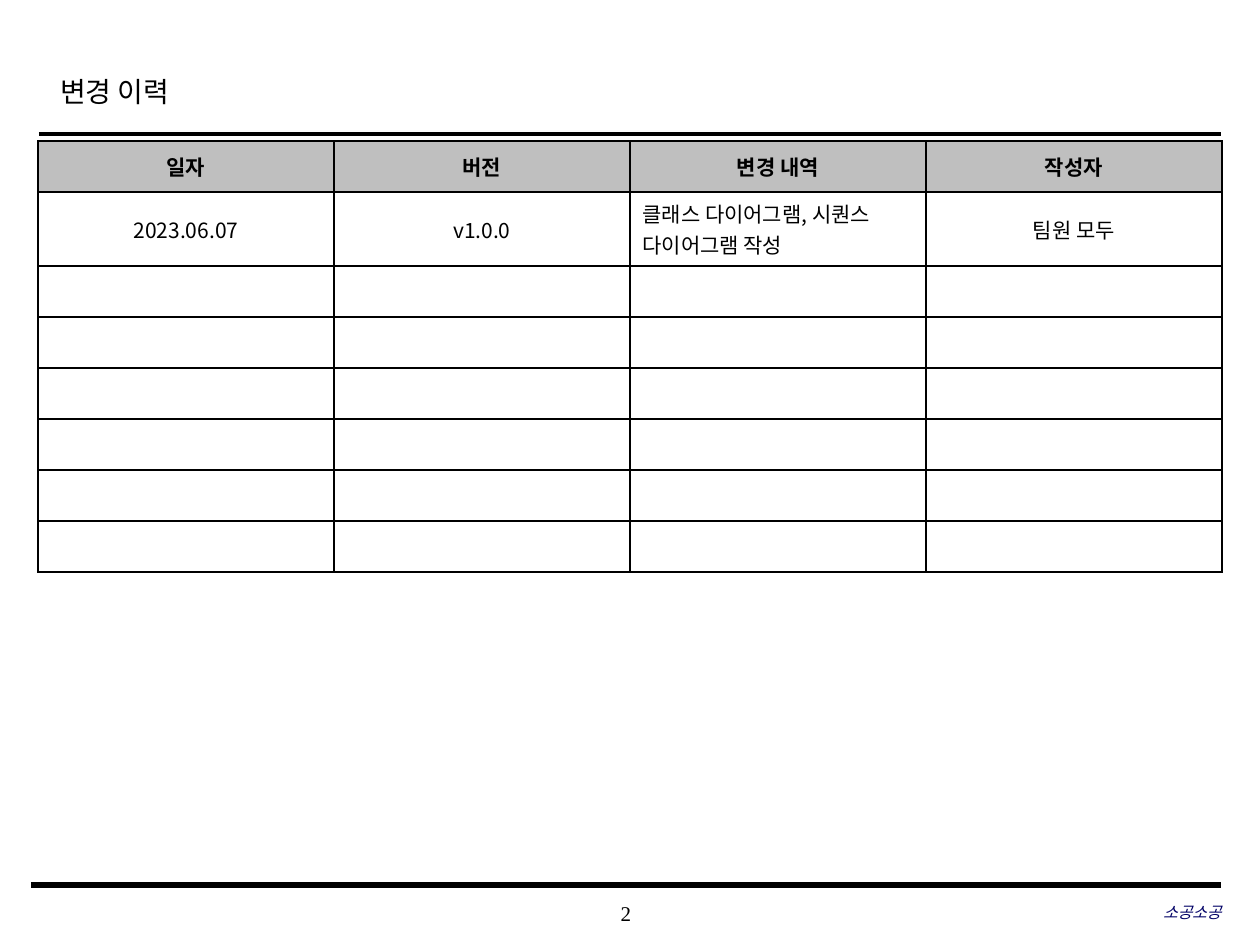
"""Build the change history slide."""
from dataclasses import dataclass

from lxml import etree
from pptx import Presentation
from pptx.dml.color import RGBColor
from pptx.enum.shapes import MSO_CONNECTOR
from pptx.enum.text import MSO_ANCHOR, PP_ALIGN
from pptx.oxml.ns import qn
from pptx.util import Emu, Pt

LEFT, CENTER, RIGHT = PP_ALIGN.LEFT, PP_ALIGN.CENTER, PP_ALIGN.RIGHT
TOP, MIDDLE = MSO_ANCHOR.TOP, MSO_ANCHOR.MIDDLE
STRAIGHT = MSO_CONNECTOR.STRAIGHT
PIXELS_PER_INCH = 126

HEADERS = ["일자", "버전", "변경 내역", "작성자"]
ENTRY = ["2023.06.07", "v1.0.0", "클래스 다이어그램, 시퀀스 다이어그램 작성", "팀원 모두"]
EMPTY_ROWS = 6
DETAIL_COLUMN = 2
ROW_HEIGHT, ENTRY_HEIGHT = 51, 74


@dataclass(frozen=True)
class Theme:
    black: str = "000000"
    navy: str = "000066"
    header_fill: str = "BFBFBF"
    white: str = "FFFFFF"
    latin_font: str = "Times New Roman"
    korean_font: str = "Noto Sans CJK KR"
    title_size: int = 16
    body_size: int = 12
    footer_size: int = 9
    border_width: int = 1


def px(length):
    return Emu(round(length * 914400 / PIXELS_PER_INCH))


class SlideBuilder:
    def __init__(self, slide, theme):
        self.slide = slide
        self.theme = theme

    def style(self, paragraph, size, font_name, align=LEFT, color=None, bold=False, italic=False):
        paragraph.alignment = align
        font = paragraph.font
        font.size, font.name = Pt(size), font_name
        font.bold, font.italic = bold, italic
        font.color.rgb = RGBColor.from_string(color or self.theme.black)
        properties = paragraph._p.pPr.find(qn("a:defRPr"))
        east_asian = etree.SubElement(properties, qn("a:ea"))
        east_asian.set("typeface", self.theme.korean_font)

    def text(self, box, words, size, align=LEFT, anchor=MIDDLE, inset=(0, 0),
             line_spacing=None, **font_style):
        frame = self.slide.shapes.add_textbox(*map(px, box)).text_frame
        frame.word_wrap = True
        frame.vertical_anchor = anchor
        frame.margin_left = frame.margin_right = px(inset[0])
        frame.margin_top = frame.margin_bottom = px(inset[1])
        paragraph = frame.paragraphs[0]
        paragraph.text = words
        paragraph.line_spacing = line_spacing
        self.style(paragraph, size, self.theme.latin_font, align, **font_style)

    def rule(self, left, right, y, width):
        connector = self.slide.shapes.add_connector(STRAIGHT, px(left), px(y), px(right), px(y))
        connector.line.color.rgb = RGBColor.from_string(self.theme.black)
        connector.line.width = Pt(width)
        etree.SubElement(connector._element.spPr, qn("a:effectLst"))

    def borders(self, cell):
        properties = cell._tc.get_or_add_tcPr()
        for side in ("lnL", "lnR", "lnT", "lnB"):
            line = etree.SubElement(properties, qn(f"a:{side}"), w=str(Pt(self.theme.border_width)))
            fill = etree.SubElement(line, qn("a:solidFill"))
            etree.SubElement(fill, qn("a:srgbClr"), val=self.theme.black)

    def table(self, left, top, column_width, row_heights, rows):
        columns = len(rows[0])
        table = self.slide.shapes.add_table(
            len(rows), columns, px(left), px(top),
            px(column_width * columns), px(sum(row_heights))).table
        for column in table.columns:
            column.width = px(column_width)
        for row_index, (values, height) in enumerate(zip(rows, row_heights)):
            table.rows[row_index].height = px(height)
            is_header = row_index == 0
            for column_index, words in enumerate(values):
                cell = table.cell(row_index, column_index)
                self.borders(cell)
                cell.fill.solid()
                cell.fill.fore_color.rgb = RGBColor.from_string(
                    self.theme.header_fill if is_header else self.theme.white)
                cell.vertical_anchor = MIDDLE
                paragraph = cell.text_frame.paragraphs[0]
                if words:
                    paragraph.text = words
                is_detail = column_index == DETAIL_COLUMN and not is_header
                self.style(paragraph, self.theme.body_size, self.theme.korean_font,
                           LEFT if is_detail else CENTER, bold=is_header)


def main():
    presentation = Presentation()
    presentation.slide_width, presentation.slide_height = px(1260), px(945)
    slide = presentation.slides.add_slide(presentation.slide_layouts[6])
    theme = Theme()
    builder = SlideBuilder(slide, theme)

    builder.text((495, 892, 262, 42), "2", theme.body_size, CENTER)
    builder.rule(39, 1221, 134, 2.5)
    builder.rule(31, 1221, 885, 3)
    builder.text((49, 62, 951, 63), "변경 이력", theme.title_size,
                 anchor=TOP, inset=(11, 6), line_spacing=1.2)
    builder.text((835, 891, 386, 42), "소공소공", theme.footer_size, RIGHT,
                 color=theme.navy, italic=True)
    rows = [HEADERS, ENTRY] + [[""] * len(HEADERS)] * EMPTY_ROWS
    row_heights = [ROW_HEIGHT, ENTRY_HEIGHT] + [ROW_HEIGHT] * EMPTY_ROWS
    builder.table(38, 141, 296, row_heights, rows)
    presentation.save("out.pptx")


if __name__ == "__main__":
    main()
